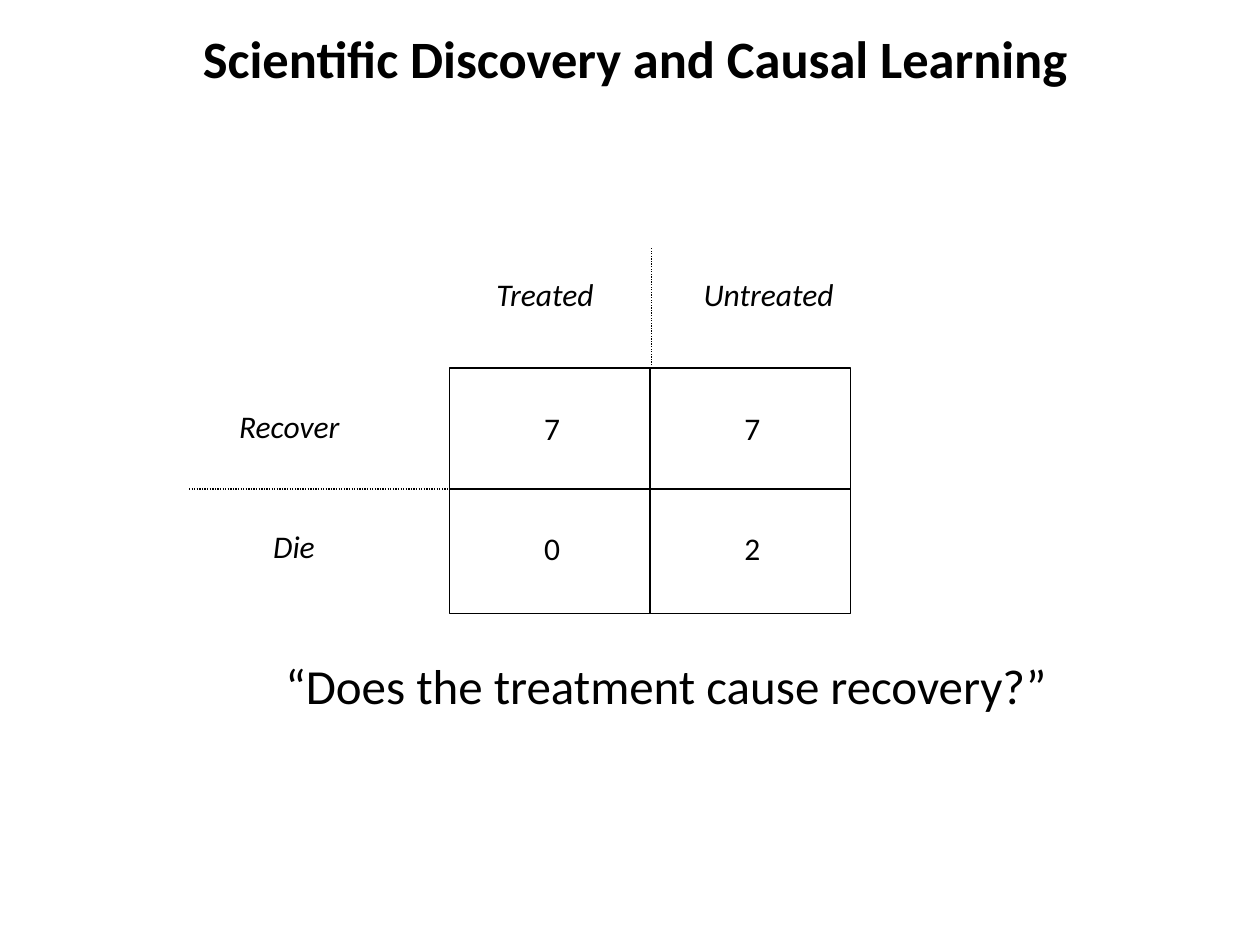
from lxml import etree
from pptx import Presentation
from pptx.dml.color import RGBColor
from pptx.enum.dml import MSO_LINE
from pptx.enum.shapes import MSO_CONNECTOR, MSO_SHAPE
from pptx.enum.text import MSO_ANCHOR, MSO_AUTO_SIZE, PP_ALIGN
from pptx.oxml.ns import qn
from pptx.util import Inches, Pt

RECT = MSO_SHAPE.RECTANGLE
LINE = MSO_CONNECTOR.STRAIGHT
DOTS = MSO_LINE.ROUND_DOT
TOP = MSO_ANCHOR.TOP
NONE = MSO_AUTO_SIZE.NONE
LEFT, MID = PP_ALIGN.LEFT, PP_ALIGN.CENTER

TITLE = "Scientific Discovery and Causal Learning"
QUERY = "“Does the treatment cause recovery?”"
HEADS = [("Treated", 3.65, 1.35), ("Untreated", 5.27, 1.66)]
SIDES = [("Recover", 1.8, 1.44), ("Die", 2.07, 0.7)]
COUNTS = [["7", "7"], ["0", "2"]]

FONT = "Calibri"
COLORS = {"ink": "000000", "paper": "FFFFFF"}
GRID_X, GRID_Y, GRID_W, GRID_H = 3.57, 2.92, 3.18, 1.95
COL_W, ROW_H = GRID_W / 2, 0.95
MID_X, MID_Y = GRID_X + COL_W, 3.88
CELL_W, CELL_H = 0.39, 0.5


def color(name):
    return RGBColor.from_string(COLORS[name])


def write(shape, text, size, align=MID, bold=False, italic=False, wrap=False):
    frame = shape.text_frame
    frame.word_wrap = wrap
    frame.auto_size = NONE
    frame.vertical_anchor = TOP
    para = frame.paragraphs[0]
    para.alignment = align
    run = para.add_run()
    run.text = text
    font = run.font
    font.name, font.size = FONT, Pt(size)
    font.bold, font.italic = bold, italic
    font.color.rgb = color("ink")


def add_text(slide, text, box, size, **style):
    shape = slide.shapes.add_textbox(*map(Inches, box))
    write(shape, text, size, **style)


def add_rect(slide, box, edge=False):
    shape = slide.shapes.add_shape(RECT, *map(Inches, box))
    shape.shadow.inherit = False
    shape.fill.solid()
    shape.fill.fore_color.rgb = color("paper")
    if edge:
        shape.line.color.rgb = color("ink")
        shape.line.width = Pt(0.75)
    else:
        shape.line.fill.background()
    return shape


def add_rule(slide, ends, dash=None):
    rule = slide.shapes.add_connector(LINE, *map(Inches, ends))
    rule.line.color.rgb = color("ink")
    rule.line.width = Pt(0.75)
    if dash:
        rule.line.dash_style = dash
    etree.SubElement(rule._element.spPr, qn("a:effectLst"))


def main():
    deck = Presentation()
    deck.slide_width, deck.slide_height = Inches(10), Inches(7.5)
    slide = deck.slides.add_slide(deck.slide_layouts[5])

    title = slide.shapes.title
    title.left, title.top = Inches(0), Inches(0.16)
    title.width, title.height = Inches(10.09), Inches(0.85)
    write(title, TITLE, 30, bold=True, wrap=True)

    add_text(slide, QUERY, (1.92, 5.15, 6.73, 0.57), 28)
    add_rect(slide, (GRID_X, GRID_Y, GRID_W, GRID_H), edge=True)
    add_rule(slide, (MID_X, GRID_Y, MID_X, GRID_Y + GRID_H))
    add_rule(slide, (GRID_X, MID_Y, GRID_X + GRID_W, MID_Y))
    add_rule(slide, (1.5, MID_Y, GRID_X, MID_Y), DOTS)
    add_rule(slide, (MID_X + 0.01, GRID_Y, MID_X + 0.01, 1.97), DOTS)

    for text, left, width in HEADS:
        add_text(slide, text, (left, 2.13, width, CELL_H), 18, italic=True)
    for row, (text, left, width) in enumerate(SIDES):
        side = add_rect(slide, (left, 3.18 + row * ROW_H, width, CELL_H))
        write(side, text, 18, LEFT, italic=True)
    for row, counts in enumerate(COUNTS):
        for col, count in enumerate(counts):
            left = GRID_X + 0.65 + col * COL_W
            cell = add_rect(slide, (left, 3.2 + row * ROW_H, CELL_W, CELL_H))
            write(cell, count, 18, LEFT)

    deck.save("out.pptx")


if __name__ == "__main__":
    main()
